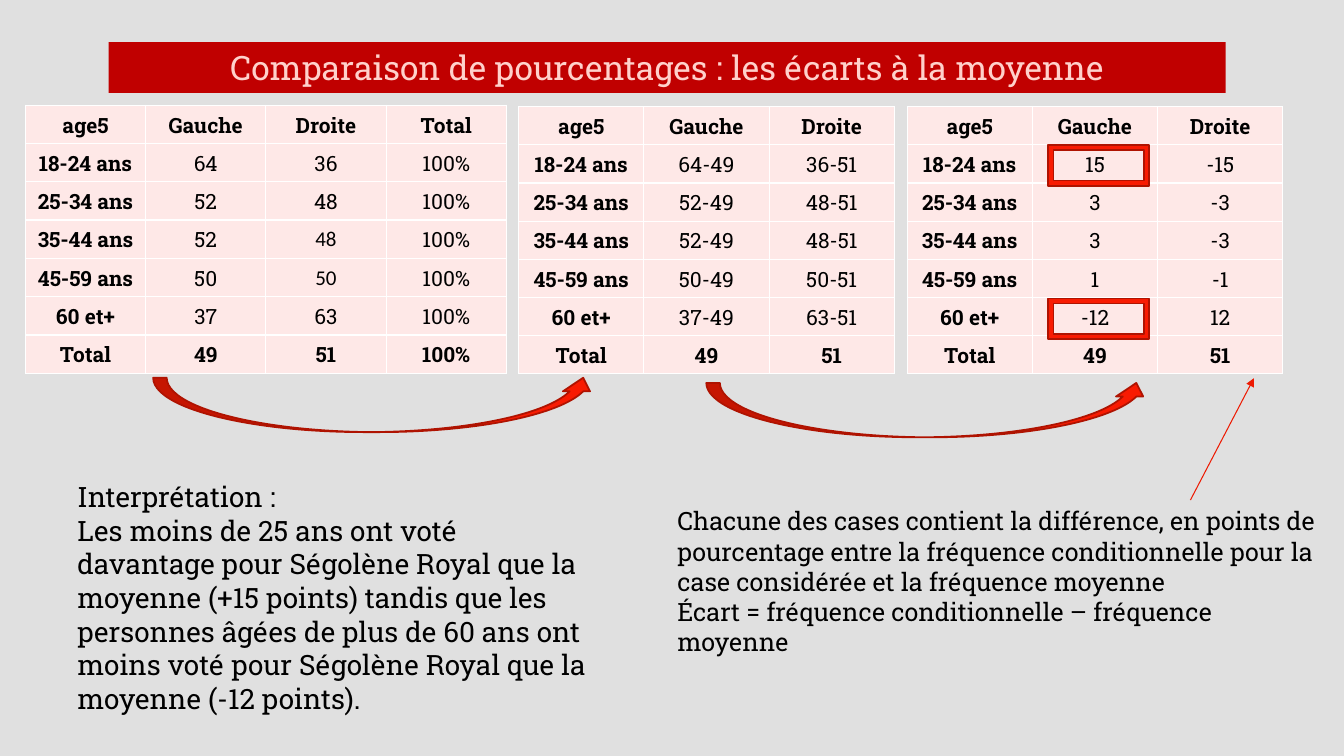
from lxml import etree
from pptx import Presentation
from pptx.dml.color import RGBColor
from pptx.enum.shapes import MSO_CONNECTOR, MSO_SHAPE
from pptx.enum.text import MSO_ANCHOR, MSO_AUTO_SIZE, PP_ALIGN
from pptx.oxml.ns import qn
from pptx.util import Cm, Pt

LEFT, CENTER = PP_ALIGN.LEFT, PP_ALIGN.CENTER
MIDDLE = MSO_ANCHOR.MIDDLE
NO_AUTOFIT = MSO_AUTO_SIZE.NONE
STRAIGHT = MSO_CONNECTOR.STRAIGHT
CURVED_ARROW, FRAME = MSO_SHAPE.CURVED_UP_ARROW, MSO_SHAPE.FRAME

BACKGROUND = RGBColor(0xE0, 0xE0, 0xE0)
BANNER = RGBColor(0xC0, 0x00, 0x00)
BANNER_TEXT = RGBColor(0xFF, 0xD1, 0xCB)
CELL = RGBColor(0xFE, 0xE8, 0xE7)
WHITE = RGBColor(0xFF, 0xFF, 0xFF)
BLACK = RGBColor(0x00, 0x00, 0x00)
RED = RGBColor(0xF8, 0x1B, 0x02)
DARK_RED = RGBColor(0xAF, 0x13, 0x01)
POINTER_RED = RGBColor(0xED, 0x1A, 0x02)

SLAB, CALIBRI = "Roboto Slab", "Calibri"

VOTES = {
    "18-24 ans": (64, 36),
    "25-34 ans": (52, 48),
    "35-44 ans": (52, 48),
    "45-59 ans": (50, 50),
    "60 et+": (37, 63),
}
MEANS = (49, 51)
HEADER = ("age5", "Gauche", "Droite")
TOTAL = ("Total", *MEANS)

INTERPRETATION = (
    "Interprétation :\n"
    "Les moins de 25 ans ont voté davantage pour Ségolène Royal que la moyenne "
    "(+15 points) tandis que les personnes âgées de plus de 60 ans ont moins voté "
    "pour Ségolène Royal que la moyenne (-12 points)."
)
DEFINITION = (
    "Chacune des cases contient la différence, en points de pourcentage entre la "
    "fréquence conditionnelle pour la case considérée et la fréquence moyenne\n"
    "Écart = fréquence conditionnelle – fréquence moyenne"
)


def write(frame, text, size=15, font=SLAB, color=BLACK, bold=False, align=LEFT):
    """Fill a text frame with one formatted paragraph per line of text."""
    for index, line in enumerate(text.split("\n")):
        paragraph = frame.add_paragraph() if index else frame.paragraphs[0]
        paragraph.alignment = align
        run = paragraph.add_run()
        run.text = line
        run.font.size = Pt(size)
        run.font.name = font
        run.font.bold = bold
        run.font.color.rgb = color


class VoteSlide:
    """Hold the slide and draw its elements, with lengths in centimetres."""

    def __init__(self, deck):
        """Add a title-only slide with a plain background."""
        self.slide = deck.slides.add_slide(deck.slide_layouts[5])
        self.shapes = self.slide.shapes
        self.slide.background.fill.solid()
        self.slide.background.fill.fore_color.rgb = BACKGROUND

    def title(self, text, left, top, width, height):
        """Turn the title placeholder into the red banner."""
        banner = self.shapes.title
        banner.left, banner.top = Cm(left), Cm(top)
        banner.width, banner.height = Cm(width), Cm(height)
        banner.fill.solid()
        banner.fill.fore_color.rgb = BANNER
        frame = banner.text_frame
        frame.word_wrap = True
        frame.auto_size = NO_AUTOFIT
        frame.vertical_anchor = MIDDLE
        write(frame, text, size=24, color=BANNER_TEXT, align=CENTER)

    def paragraph_box(self, text, size, left, top, width, height):
        """Add a wrapping text box."""
        box = self.shapes.add_textbox(Cm(left), Cm(top), Cm(width), Cm(height))
        box.text_frame.word_wrap = True
        write(box.text_frame, text, size=size)

    def table(self, rows, left, top, width, height, calibri_cells=()):
        """Add a table with bold header row, label column and total row."""
        graphic = self.shapes.add_table(
            len(rows), len(rows[0]), Cm(left), Cm(top), Cm(width), Cm(height)
        )
        for r, row in enumerate(rows):
            for c, value in enumerate(row):
                cell = graphic.table.cell(r, c)
                cell.margin_left = cell.margin_right = cell.margin_top = Cm(0.03)
                cell.margin_bottom = 0
                cell.vertical_anchor = MIDDLE
                self.cell_borders(cell)
                cell.fill.solid()
                cell.fill.fore_color.rgb = CELL
                font = CALIBRI if (r, c) in calibri_cells else SLAB
                bold = c == 0 or r in (0, len(rows) - 1)
                write(cell.text_frame, str(value), font=font, bold=bold, align=CENTER)

    def cell_borders(self, cell):
        """Give the four sides of a cell a thin white line."""
        properties = cell._tc.get_or_add_tcPr()
        for side in ("a:lnL", "a:lnR", "a:lnT", "a:lnB"):
            border = etree.SubElement(properties, qn(side), w=str(Pt(1)))
            fill = etree.SubElement(border, qn("a:solidFill"))
            etree.SubElement(fill, qn("a:srgbClr"), val=str(WHITE))

    def red_shape(self, kind, left, top, width, height):
        """Add a red preset shape with a dark red outline."""
        shape = self.shapes.add_shape(kind, Cm(left), Cm(top), Cm(width), Cm(height))
        shape.shadow.inherit = False
        shape.fill.solid()
        shape.fill.fore_color.rgb = RED
        shape.line.color.rgb = DARK_RED
        shape.line.width = Pt(1.25)

    def pointer(self, start_x, start_y, end_x, end_y):
        """Add a thin straight arrow."""
        arrow = self.shapes.add_connector(
            STRAIGHT, Cm(start_x), Cm(start_y), Cm(end_x), Cm(end_y)
        )
        arrow.line.color.rgb = POINTER_RED
        arrow.line.width = Pt(0.75)
        etree.SubElement(arrow.line._get_or_add_ln(), qn("a:tailEnd"), type="triangle")
        etree.SubElement(arrow._element.spPr, qn("a:effectLst"))


def main():
    """Build and save the slide on deviations from the mean."""
    deck = Presentation()
    deck.slide_width, deck.slide_height = Cm(33.87), Cm(19.05)
    page = VoteSlide(deck)
    page.title("Comparaison de pourcentages : les écarts à la moyenne",
               2.74, 1.06, 28.15, 1.28)

    shares = [(age, *votes, "100%") for age, votes in VOTES.items()]
    subtractions = [
        (age, *(f"{vote}-{mean}" for vote, mean in zip(votes, MEANS)))
        for age, votes in VOTES.items()
    ]
    deviations = [
        (age, *(vote - mean for vote, mean in zip(votes, MEANS)))
        for age, votes in VOTES.items()
    ]
    page.table([(*HEADER, "Total"), *shares, (*TOTAL, "100%")],
               0.64, 2.65, 12.12, 6.76, calibri_cells={(3, 2), (4, 2)})
    for left, rows in ((22.86, deviations), (13.07, subtractions)):
        page.table([HEADER, *rows, TOTAL], left, 2.69, 9.47, 6.73)

    page.paragraph_box(DEFINITION, 18, 16.82, 12.62, 16.94, 4.11)
    page.pointer(30, 12.6, 31.6, 9.53)
    for left, top in ((3.86, 9.52), (17.8, 9.65)):
        page.red_shape(CURVED_ARROW, left, top, 11.18, 1.37)
    page.paragraph_box(INTERPRETATION, 20, 1.7, 11.96, 13.34, 6.25)
    for top in (3.66, 7.52):
        page.red_shape(FRAME, 26.42, top, 2.54, 1.02)

    deck.save("out.pptx")


if __name__ == "__main__":
    main()
